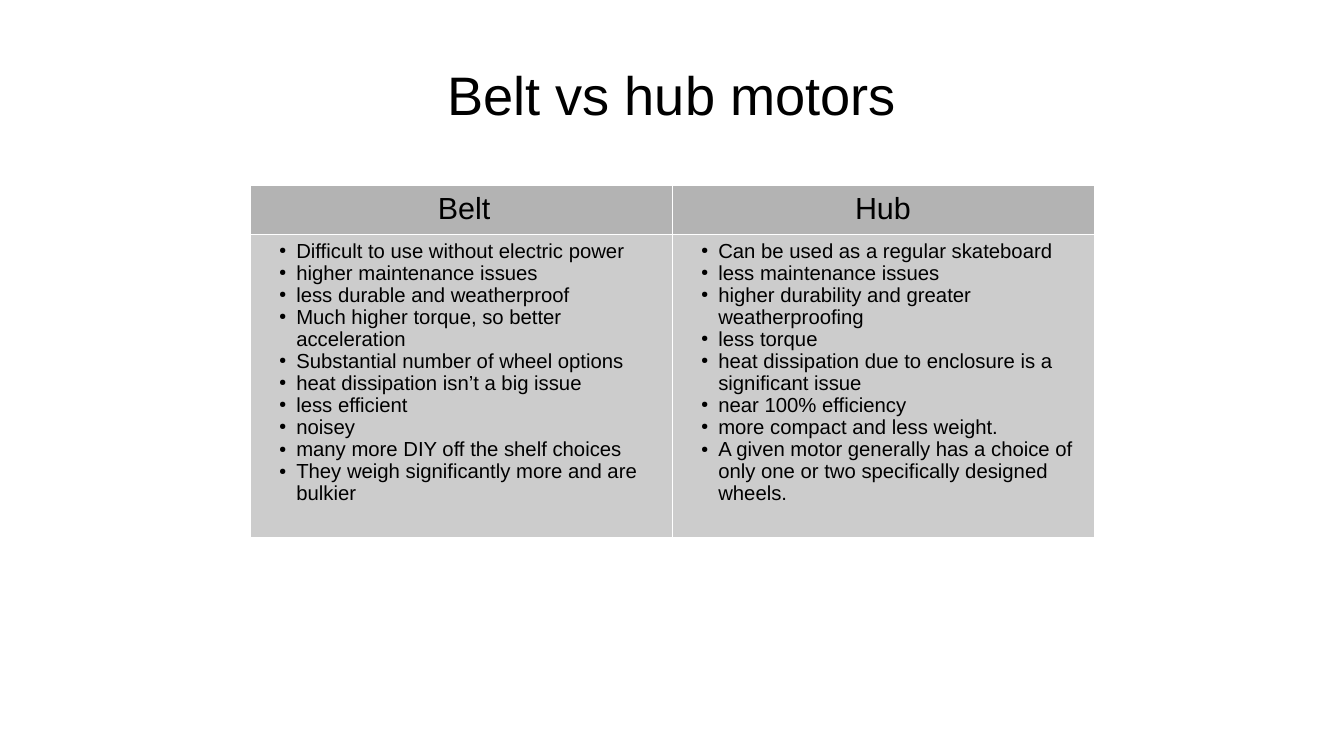
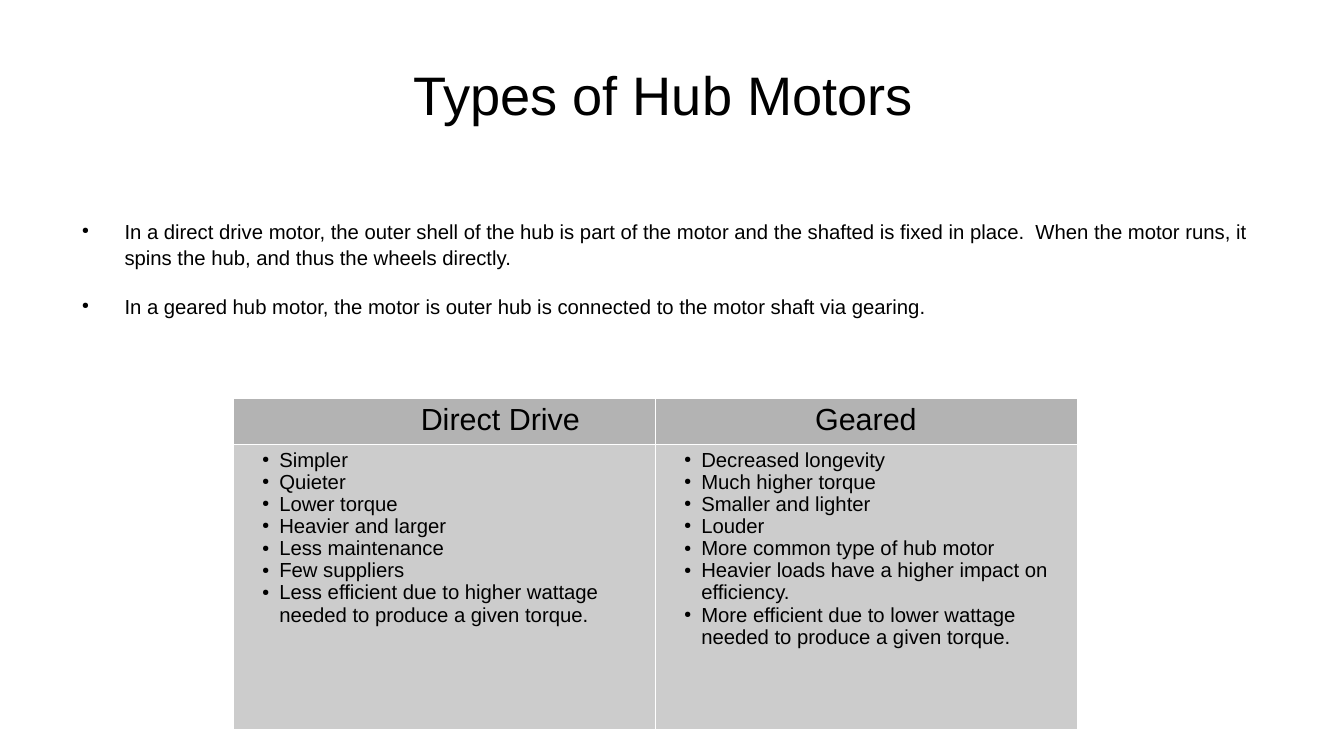
from lxml import etree
from pptx import Presentation
from pptx.dml.color import RGBColor as RGB
from pptx.enum.text import MSO_ANCHOR as ANCHOR, MSO_AUTO_SIZE as FIT, PP_ALIGN as ALIGN
from pptx.oxml.ns import qn
from pptx.util import Inches, Pt

COLORS = {"text": "000000", "paper": "FFFFFF", "header": "B3B3B3", "body": "CCCCCC"}
FONT = "Arial"
TITLE_ONLY = 5

BELT_VS_HUB = {
    "Belt": [
        "Difficult to use without electric power",
        "higher maintenance issues",
        "less durable and weatherproof",
        "Much higher torque, so better acceleration",
        "Substantial number of wheel options",
        "heat dissipation isn’t a big issue",
        "less efficient",
        "noisey",
        "many more DIY off the shelf choices",
        "They weigh significantly more and are bulkier",
    ],
    "Hub": [
        "Can be used as a regular skateboard",
        "less maintenance issues",
        "higher durability and greater weatherproofing",
        "less torque",
        "heat dissipation due to enclosure is a significant issue",
        "near 100% efficiency",
        "more compact and less weight.",
        "A given motor generally has a choice of only one or two specifically designed wheels.",
    ],
}
HUB_TYPES = [
    "In a direct drive motor, the outer shell of the hub is part of the motor and the shafted "
    "is fixed in place.  When the motor runs, it spins the hub, and thus the wheels directly.",
    "In a geared hub motor, the motor is outer hub is connected to the motor shaft via gearing.",
]
DIRECT_VS_GEARED = {
    "Direct Drive": [
        "Simpler",
        "Quieter",
        "Lower torque",
        "Heavier and larger",
        "Less maintenance",
        "Few suppliers",
        "Less efficient due to higher wattage needed to produce a given torque.",
    ],
    "Geared": [
        "Decreased longevity",
        "Much higher torque",
        "Smaller and lighter",
        "Louder",
        "More common type of hub motor",
        "Heavier loads have a higher impact on efficiency.",
        "More efficient due to lower wattage needed to produce a given torque.",
    ],
}


def add_bullet(pPr):
    clr = etree.SubElement(pPr, qn("a:buClr"))
    etree.SubElement(clr, qn("a:srgbClr"), val=COLORS["text"])
    etree.SubElement(pPr, qn("a:buSzPct"), val="45000")
    etree.SubElement(pPr, qn("a:buChar"), char="●")


def write(tf, lines, size=12, align=ALIGN.LEFT, left=0, hang=0, before=0, spacing=1.0):
    """Fill a text frame, one paragraph a line; a hanging indent brings a bullet."""
    for i, line in enumerate(lines):
        p = tf.add_paragraph() if i else tf.paragraphs[0]
        p.alignment, p.line_spacing, p.space_before = align, spacing, Pt(before)
        pPr = p._p.get_or_add_pPr()
        pPr.set("marL", str(Inches(left)))
        pPr.set("indent", str(-Inches(hang)))
        if hang:
            add_bullet(pPr)
        r = p.add_run()
        r.text = line
        r.font.name, r.font.size = FONT, Pt(size)
        r.font.color.rgb = RGB.from_string(COLORS["text"])


def format_cell(cell, fill):
    cell.fill.solid()
    cell.fill.fore_color.rgb = RGB.from_string(COLORS[fill])
    tcPr = cell._tc.get_or_add_tcPr()
    for i, side in enumerate(("lnL", "lnR", "lnT", "lnB")):
        ln = etree.Element(qn(f"a:{side}"), w=str(Pt(0.06)))
        solid = etree.SubElement(ln, qn("a:solidFill"))
        etree.SubElement(solid, qn("a:srgbClr"), val=COLORS["paper"])
        tcPr.insert(i, ln)


class Deck:
    """Holds the style and the current slide; lengths are percentages of its size."""

    def __init__(self):
        self.prs = Presentation()
        self.prs.slide_width, self.prs.slide_height = Inches(11.02), Inches(6.2)
        self.s = None

    def x(self, share):
        return int(self.prs.slide_width * share / 100)

    def y(self, share):
        return int(self.prs.slide_height * share / 100)

    def box(self, left, top, width, height):
        return self.x(left), self.y(top), self.x(width), self.y(height)

    def frame(self, sp, anchor):
        tf = sp.text_frame
        tf.word_wrap, tf.auto_size, tf.vertical_anchor = True, FIT.NONE, anchor
        tf.margin_left = tf.margin_right = tf.margin_top = tf.margin_bottom = 0
        return tf

    def slide(self, title, left=5):
        self.s = self.prs.slides.add_slide(self.prs.slide_layouts[TITLE_ONLY])
        sp = self.s.shapes.title
        sp.left, sp.top, sp.width, sp.height = self.box(left, 4, 90, 16.8)
        write(self.frame(sp, ANCHOR.MIDDLE), [title], size=32, align=ALIGN.CENTER)

    def bullets(self, lines, left, top, width, height):
        sp = self.s.shapes.add_textbox(*self.box(left, top, width, height))
        write(self.frame(sp, ANCHOR.TOP), lines, left=0.47, hang=0.35, before=14.2, spacing=1.04)

    def comparison(self, columns, left, top, row_heights, width=62.8):
        """Table with a heading over a bullet list in each column."""
        tbl = self.s.shapes.add_table(
            2, len(columns), *self.box(left, top, width, sum(row_heights))).table
        for row, height in zip(tbl.rows, row_heights):
            row.height = self.y(height)
        for i, (heading, points) in enumerate(columns.items()):
            head, body = tbl.cell(0, i), tbl.cell(1, i)
            format_cell(head, "header")
            format_cell(body, "body")
            head.vertical_anchor = ANCHOR.MIDDLE
            heading_style = {"align": ALIGN.CENTER} if i else {"left": 1.44}
            write(head.text_frame, [heading], size=18, spacing=0.97, **heading_style)
            write(body.text_frame, points, left=0.28, hang=0.14, spacing=0.97)


def main():
    deck = Deck()
    deck.slide("Belt vs hub motors")
    deck.comparison(BELT_VS_HUB, 18.6, 24.5, (6.5, 40))

    deck.slide("Types of Hub Motors", left=4.36)
    deck.bullets(HUB_TYPES, 5, 28.9, 90, 14)
    deck.comparison(DIRECT_VS_GEARED, 17.33, 52.6, (6.1, 37.7))
    deck.prs.save("out.pptx")


if __name__ == "__main__":
    main()
